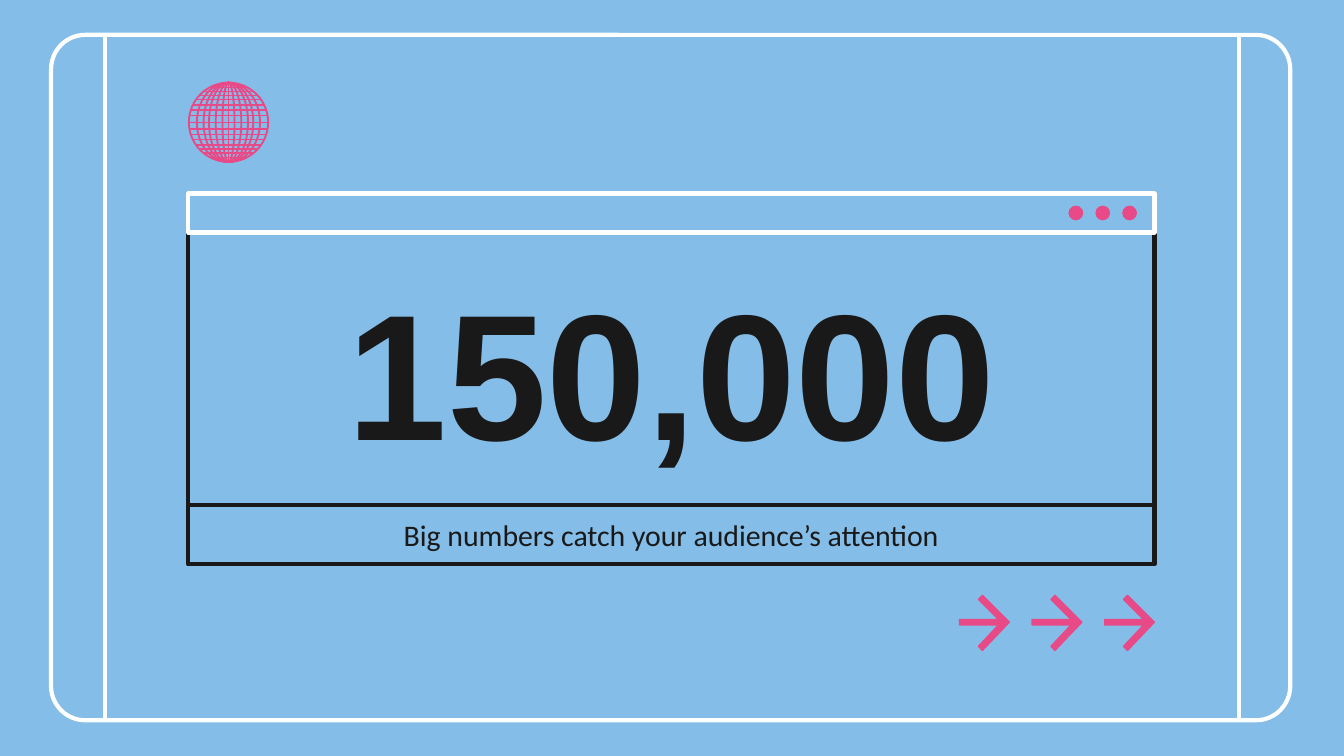
from math import sqrt
from lxml import etree
from pptx import Presentation
from pptx.dml import color
from pptx.enum import shapes, text
from pptx.oxml import ns
from pptx.util import Inches, Pt

HUES = {"sky": "84BDE7", "ink": "191919", "pink": "E84987", "white": "FFFFFF"}
KINDS = shapes.MSO_SHAPE
ARROW = [(0.17, 0), (0.14, 0.03), (0.29, 0.18), (0, 0.18), (0, 0.22),
         (0.29, 0.22), (0.14, 0.38), (0.17, 0.41), (0.37, 0.2)]


def shade(name):
    return color.RGBColor.from_string(HUES[name])


def paint(item, fill=None, line=None, width=2.25):
    if fill:
        item.fill.solid()
        item.fill.fore_color.rgb = shade(fill)
    else:
        item.fill.background()
    if line:
        item.line.color.rgb = shade(line)
        item.line.width = Pt(width)
    else:
        item.line.fill.background()


def add_form(slide, kind, left, top, wide, high, **look):
    form = slide.shapes.add_shape(
        kind, Inches(left), Inches(top), Inches(wide), Inches(high))
    form.shadow.inherit = False
    paint(form, **look)
    return form


def add_line(slide, x1, y1, x2, y2, hue, width):
    line = slide.shapes.add_connector(
        shapes.MSO_CONNECTOR.STRAIGHT,
        Inches(x1), Inches(y1), Inches(x2), Inches(y2))
    line.line.color.rgb = shade(hue)
    line.line.width = Pt(width)
    etree.SubElement(line._element.spPr, ns.qn("a:effectLst"))


def write(shape, words, size, font, bold=False, hue="ink"):
    frame = shape.text_frame
    frame.word_wrap = True
    frame.auto_size = text.MSO_AUTO_SIZE.NONE
    frame.vertical_anchor = text.MSO_ANCHOR.MIDDLE
    frame.margin_left = frame.margin_right = Inches(0.1)
    frame.margin_top = frame.margin_bottom = Inches(0.1)
    para = frame.paragraphs[0]
    para.alignment = text.PP_ALIGN.CENTER
    run = para.add_run()
    run.text = words
    run.font.size = Pt(size)
    run.font.name = font
    run.font.bold = bold
    run.font.color.rgb = shade(hue)


def add_frame(slide):
    frame = add_form(slide, KINDS.ROUNDED_RECTANGLE,
                     0.38, 0.26, 9.22, 5.1, line="white")
    frame.adjustments[0] = 0.05
    for x in (0.78, 9.22):
        add_line(slide, x, 0.26, x, 5.36, "white", 2.25)


def add_title(slide, words):
    title = slide.shapes.title
    title.left, title.top = Inches(1.4), Inches(1.73)
    title.width, title.height = Inches(7.19), Inches(2.03)
    paint(title, line="ink")
    write(title, words, 96, "Arial", bold=True)


def add_bar(slide):
    add_form(slide, KINDS.RECTANGLE, 1.4, 1.44, 7.19, 0.29, line="white")
    for i in range(3):
        add_form(slide, KINDS.OVAL, 7.95 + 0.2 * i, 1.53, 0.11, 0.11, fill="pink")


def add_arrow(slide, left, top):
    spots = [(Inches(left + x), Inches(top + y)) for x, y in ARROW]
    pen = slide.shapes.build_freeform(*spots[0])
    pen.add_line_segments(spots[1:], close=True)
    arrow = pen.convert_to_shape()
    arrow.shadow.inherit = False
    paint(arrow, fill="pink", line="pink", width=0.75)


def add_globe(slide, x, y, size):
    half = size / 2
    for wide in (size, 0.47, 0.37, 0.29, 0.19, 0.09):
        add_form(slide, KINDS.OVAL, x - wide / 2, y - half, wide, size,
                 line="pink", width=1)
    add_line(slide, x, y - half, x, y + half, "pink", 0.75)
    rows = (0.05, 0.09, 0.13, 0.17, 0.2, 0.23, 0.26)
    for gap in (0, *rows, *(-row for row in rows)):
        reach = sqrt(half ** 2 - gap ** 2)
        add_line(slide, x - reach, y + gap, x + reach, y + gap, "pink", 0.75)


def main():
    deck = Presentation()
    deck.slide_width, deck.slide_height = Inches(10), Inches(10 * 9 / 16)
    slide = deck.slides.add_slide(deck.slide_layouts[5])
    slide.background.fill.solid()
    slide.background.fill.fore_color.rgb = shade("sky")
    add_frame(slide)
    add_title(slide, "150,000")
    note = add_form(slide, KINDS.RECTANGLE, 1.4, 3.76, 7.19, 0.44, line="ink")
    write(note, "Big numbers catch your audience’s attention", 16, "Calibri")
    add_bar(slide)
    for i in range(3):
        add_arrow(slide, 7.14 + 0.54 * i, 4.43)
    add_globe(slide, 1.7, 0.91, 0.59)
    deck.save("out.pptx")


if __name__ == "__main__":
    main()
